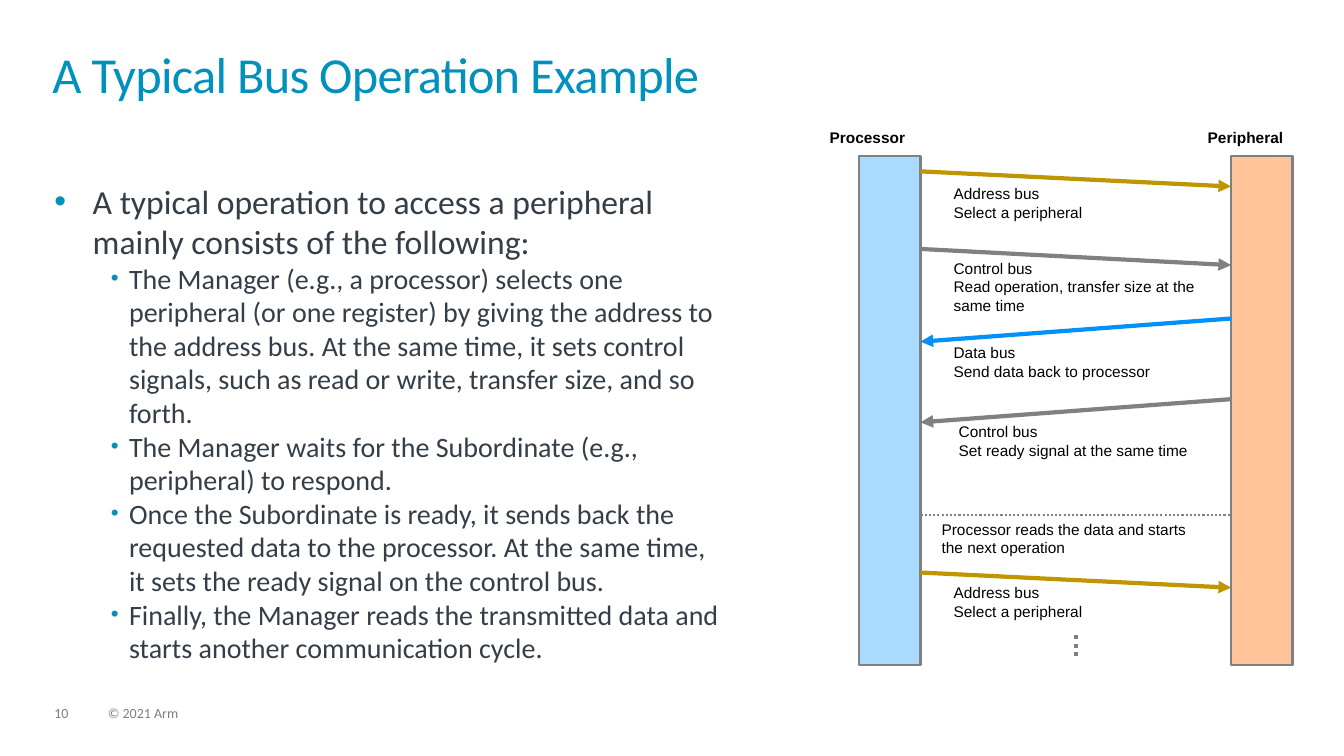
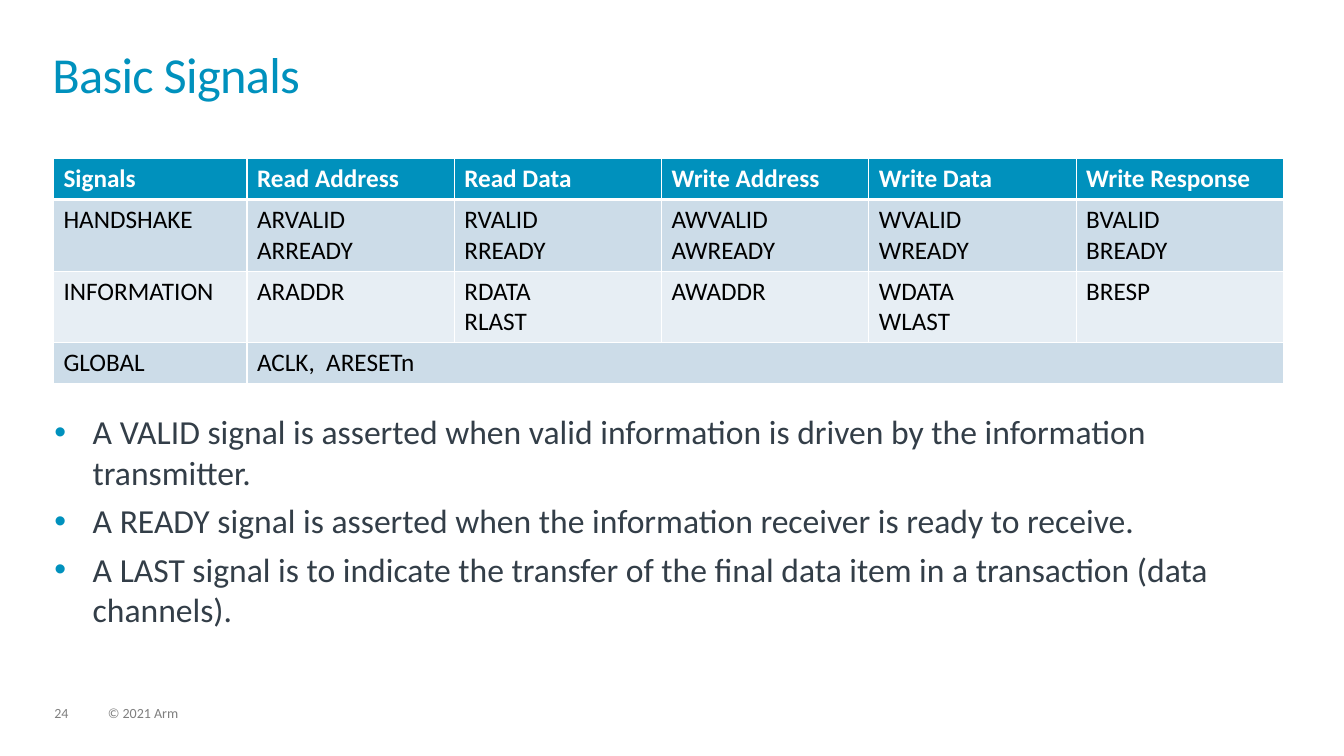
from lxml.etree import SubElement
from pptx import Presentation
from pptx.dml.color import RGBColor
from pptx.enum.dml import MSO_LINE
from pptx.enum.shapes import MSO_CONNECTOR, MSO_SHAPE
from pptx.enum.text import MSO_ANCHOR, MSO_AUTO_SIZE, PP_ALIGN
from pptx.oxml.ns import qn
from pptx.util import Inches, Pt

TEAL = RGBColor(0x00, 0x91, 0xBD)
SLATE = RGBColor(0x33, 0x3E, 0x48)
FOOTER_GRAY = RGBColor(0x7F, 0x7F, 0x7F)
LINE_GRAY = RGBColor(0x80, 0x80, 0x80)
BLACK = RGBColor(0x00, 0x00, 0x00)
WHITE = RGBColor(0xFF, 0xFF, 0xFF)
PROCESSOR_BLUE = RGBColor(0xA8, 0xDB, 0xFF)
PERIPHERAL_ORANGE = RGBColor(0xFF, 0xC4, 0x99)
ADDRESS_GOLD = RGBColor(0xBF, 0x95, 0x00)
DATA_BLUE = RGBColor(0x00, 0x92, 0xF8)
BAND_DARK = RGBColor(0xCC, 0xDC, 0xE8)
BAND_LIGHT = RGBColor(0xE7, 0xEE, 0xF4)

TEXT_FONT = "Calibri"
DIAGRAM_FONT = "Arial"
TITLE_ONLY = 5

# Bullet level: text size, left margin, hanging indent, bullet percent, space before
BULLET_LEVELS = [(24, 0.38, 0.38, 100, 6), (20, 0.74, 0.18, 80, 0)]

BUS_BULLETS = [
    (0, "A typical operation to access a peripheral mainly consists of the following:"),
    (1, "The Manager (e.g., a processor) selects one peripheral (or one register) by "
        "giving the address to the address bus. At the same time, it sets control "
        "signals, such as read or write, transfer size, and so forth."),
    (1, "The Manager waits for the Subordinate (e.g., peripheral) to respond."),
    (1, "Once the Subordinate is ready, it sends back the requested data to the "
        "processor. At the same time, it sets the ready signal on the control bus."),
    (1, "Finally, the Manager reads the transmitted data and starts another "
        "communication cycle."),
]
SIGNAL_BULLETS = [
    (0, "A VALID signal is asserted when valid information is driven by the "
        "information transmitter."),
    (0, "A READY signal is asserted when the information receiver is ready to receive."),
    (0, "A LAST signal is to indicate the transfer of the final data item in a "
        "transaction (data channels)."),
]

# Processor-side y, peripheral-side y, colour, to peripheral?, label x, y, width, lines
ADDRESS_LINES = ["Address bus", "Select a peripheral"]
MESSAGES = [
    (0.15, 0.30, ADDRESS_GOLD, True, 0.23, 0.23, 2.62, ADDRESS_LINES),
    (0.92, 1.08, LINE_GRAY, True, 0.23, 0.97, 2.74,
     ["Control bus", "Read operation, transfer size at the same time"]),
    (1.84, 1.61, DATA_BLUE, False, 0.23, 1.81, 3.16,
     ["Data bus", "Send data back to processor"]),
    (2.64, 2.41, LINE_GRAY, False, 0.28, 2.59, 2.67,
     ["Control bus", "Set ready signal at the same time"]),
    (4.13, 4.28, ADDRESS_GOLD, True, 0.23, 4.19, 2.62, ADDRESS_LINES),
]

SIGNAL_ROWS = [
    ["Signals", "Read Address", "Read Data", "Write Address", "Write Data",
     "Write Response"],
    ["HANDSHAKE", "ARVALID\nARREADY", "RVALID\nRREADY", "AWVALID\nAWREADY",
     "WVALID\nWREADY", "BVALID\nBREADY"],
    ["INFORMATION", "ARADDR", "RDATA\nRLAST", "AWADDR", "WDATA\nWLAST", "BRESP"],
    ["GLOBAL", "ACLK,  ARESETn"],
]
ROW_HEIGHTS = [0.41, 0.71, 0.71, 0.41]


def add_span(para, text, size, color, font=TEXT_FONT, bold=False):
    span = para.add_run()
    span.text = text
    span.font.name = font
    span.font.size = Pt(size)
    span.font.bold = bold
    span.font.color.rgb = color
    return span


def clear_margins(frame):
    frame.margin_left = frame.margin_right = frame.margin_top = frame.margin_bottom = 0


def add_box(page, left, top, width, height):
    """Add an empty wrapping text box and return its text frame."""
    box = page.shapes.add_textbox(Inches(left), Inches(top), Inches(width), Inches(height))
    box.text_frame.word_wrap = True
    return box.text_frame


def paragraphs(frame, items):
    """Yield a paragraph of the frame with each item, reusing the first one."""
    for index, item in enumerate(items):
        yield (frame.add_paragraph() if index else frame.paragraphs[0]), item


def add_footer(page, left, width, text):
    frame = add_box(page, left, 7.01, width, 0.15)
    clear_margins(frame)
    para = frame.paragraphs[0]
    para.line_spacing = 0.9
    add_span(para, text, 10, FOOTER_GRAY)


def start_page(deck, title, number):
    """Add a slide with its title and footers."""
    page = deck.slides.add_slide(deck.slide_layouts[TITLE_ONLY])
    box = page.shapes.title
    box.left, box.top = Inches(0.52), Inches(0.52)
    box.width, box.height = Inches(12.28), Inches(0.72)
    frame = box.text_frame
    clear_margins(frame)
    frame.auto_size = MSO_AUTO_SIZE.NONE
    frame.vertical_anchor = MSO_ANCHOR.TOP
    para = frame.paragraphs[0]
    para.alignment = PP_ALIGN.LEFT
    para.line_spacing = 0.85
    span = add_span(para, title, 36, TEAL)
    span.font._element.set("spc", "-50")
    add_footer(page, 0.54, 0.34, str(number))
    add_footer(page, 1.07, 5.07, "© 2021 Arm")
    return page


def format_bullet(para, margin, hanging, percent):
    props = para._p.get_or_add_pPr()
    props.set("marL", str(Inches(margin)))
    props.set("indent", str(-Inches(hanging)))
    color = SubElement(props, qn("a:buClr"))
    SubElement(color, qn("a:srgbClr"), val=str(TEAL))
    SubElement(props, qn("a:buSzPct"), val=str(percent * 1000))
    SubElement(props, qn("a:buFont"), typeface="Arial")
    SubElement(props, qn("a:buChar"), char="•")


def add_bullets(page, left, top, width, height, items):
    frame = add_box(page, left, top, width, height)
    clear_margins(frame)
    for index, (para, (level, text)) in enumerate(paragraphs(frame, items)):
        size, margin, hanging, percent, before = BULLET_LEVELS[level]
        para.level = level
        format_bullet(para, margin, hanging, percent)
        para.space_before = Pt(before if index else 0)
        add_span(para, text, size, SLATE)


def add_label(page, left, top, width, lines, bold=False):
    frame = add_box(page, left, top, width, 0.1 + 0.18 * len(lines))
    for para, line in paragraphs(frame, lines):
        add_span(para, line, 11, BLACK, DIAGRAM_FONT, bold)


def add_line(page, start, end, color, weight, dotted=False, arrow=False):
    points = [Inches(value) for value in (*start, *end)]
    connector = page.shapes.add_connector(MSO_CONNECTOR.STRAIGHT, *points)
    connector.line.color.rgb = color
    connector.line.width = Pt(weight)
    if dotted:
        connector.line.dash_style = MSO_LINE.ROUND_DOT
    props = connector.element.spPr
    if arrow:
        SubElement(props.find(qn("a:ln")), qn("a:tailEnd"), type="triangle")
    SubElement(props, qn("a:effectLst"))


def add_lifeline(page, left, top, width, height, color):
    bar = page.shapes.add_shape(MSO_SHAPE.RECTANGLE, Inches(left), Inches(top),
                                Inches(width), Inches(height))
    bar.shadow.inherit = False
    bar.fill.solid()
    bar.fill.fore_color.rgb = color
    bar.line.color.rgb = LINE_GRAY
    bar.line.width = Pt(1.5)


def add_bus_sequence(page, left, top, width, height):
    bar_width = 0.61
    near = left + bar_width
    far = left + width - bar_width
    add_lifeline(page, left, top, bar_width, height, PROCESSOR_BLUE)
    add_lifeline(page, far, top, bar_width, height, PERIPHERAL_ORANGE)
    add_label(page, left - 0.39, top - 0.33, 1.53, ["Processor"], bold=True)
    add_label(page, far - 0.33, top - 0.33, 1.53, ["Peripheral"], bold=True)

    for near_y, far_y, color, outward, label_x, label_y, label_width, lines in MESSAGES:
        ends = [(near, top + near_y), (far, top + far_y)]
        start, end = ends if outward else reversed(ends)
        add_line(page, start, end, color, 3, arrow=True)
        add_label(page, near + label_x, top + label_y, label_width, lines)

    cycle_end = top + 3.56
    add_line(page, (near, cycle_end), (far, cycle_end), LINE_GRAY, 1.5, dotted=True)
    add_label(page, near + 0.11, cycle_end, 2.85,
              ["Processor reads the data and starts the next operation"])
    middle = left + width / 2
    add_line(page, (middle, top + 4.96), (middle, top + 4.75), LINE_GRAY, 3, dotted=True)


def set_borders(cell, top_weight, bottom_weight):
    props = cell._tc.get_or_add_tcPr()
    for side, weight in (("L", 1), ("R", 1), ("T", top_weight), ("B", bottom_weight)):
        line = SubElement(props, qn(f"a:ln{side}"), w=str(Pt(weight)))
        fill = SubElement(line, qn("a:solidFill"))
        SubElement(fill, qn("a:srgbClr"), val=str(WHITE))


def add_signal_table(page, left, top, width):
    first_width = 1.92
    columns = len(SIGNAL_ROWS[0])
    other_width = (width - first_width) / (columns - 1)
    table = page.shapes.add_table(len(SIGNAL_ROWS), columns, Inches(left), Inches(top),
                                  Inches(width), Inches(sum(ROW_HEIGHTS))).table
    for index, column in enumerate(table.columns):
        column.width = Inches(other_width if index else first_width)
    for row_index, texts in enumerate(SIGNAL_ROWS):
        header = row_index == 0
        row = table.rows[row_index]
        row.height = Inches(ROW_HEIGHTS[row_index])
        fill = TEAL if header else BAND_DARK if row_index % 2 else BAND_LIGHT
        for cell in row.cells:
            set_borders(cell, 3 if row_index == 1 else 1, 3 if header else 1)
            cell.fill.solid()
            cell.fill.fore_color.rgb = fill
        for cell, text in zip(row.cells, texts):
            for para, line in paragraphs(cell.text_frame, text.split("\n")):
                add_span(para, line, 18, WHITE if header else BLACK, bold=header)
    last = len(SIGNAL_ROWS) - 1
    table.cell(last, 1).merge(table.cell(last, columns - 1))


def build_bus_page(deck):
    page = start_page(deck, "A Typical Bus Operation Example", 10)
    add_bullets(page, 0.54, 1.79, 6.66, 4.47, BUS_BULLETS)
    add_bus_sequence(page, 8.52, 1.55, 4.3, 5.05)


def build_signals_page(deck):
    page = start_page(deck, "Basic Signals", 24)
    add_signal_table(page, 0.53, 1.57, 12.2)
    add_bullets(page, 0.54, 4.08, 12.23, 2.18, SIGNAL_BULLETS)


def main():
    deck = Presentation()
    deck.slide_width, deck.slide_height = Inches(13.33), Inches(7.5)
    build_bus_page(deck)
    build_signals_page(deck)
    deck.save("out.pptx")


if __name__ == "__main__":
    main()
